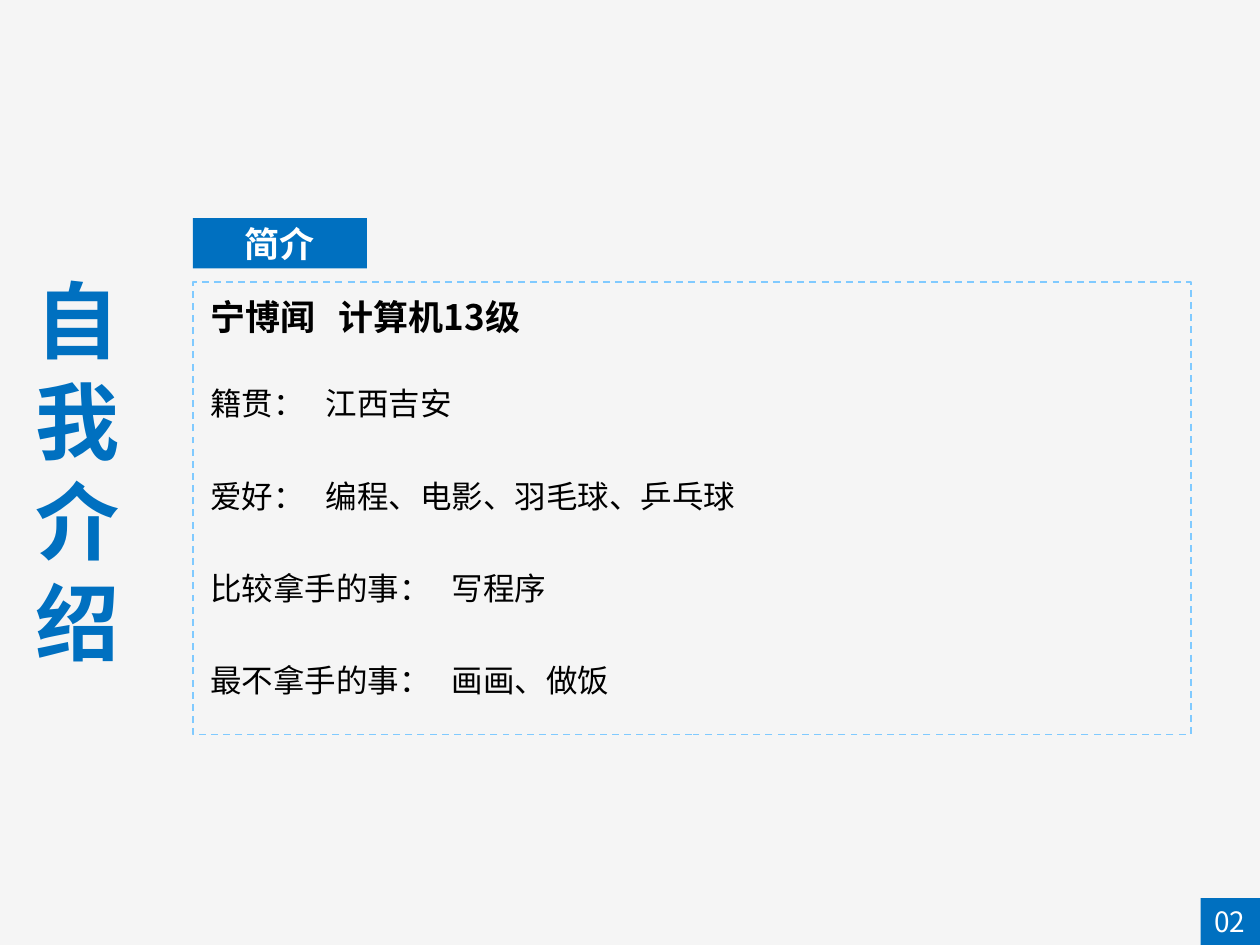
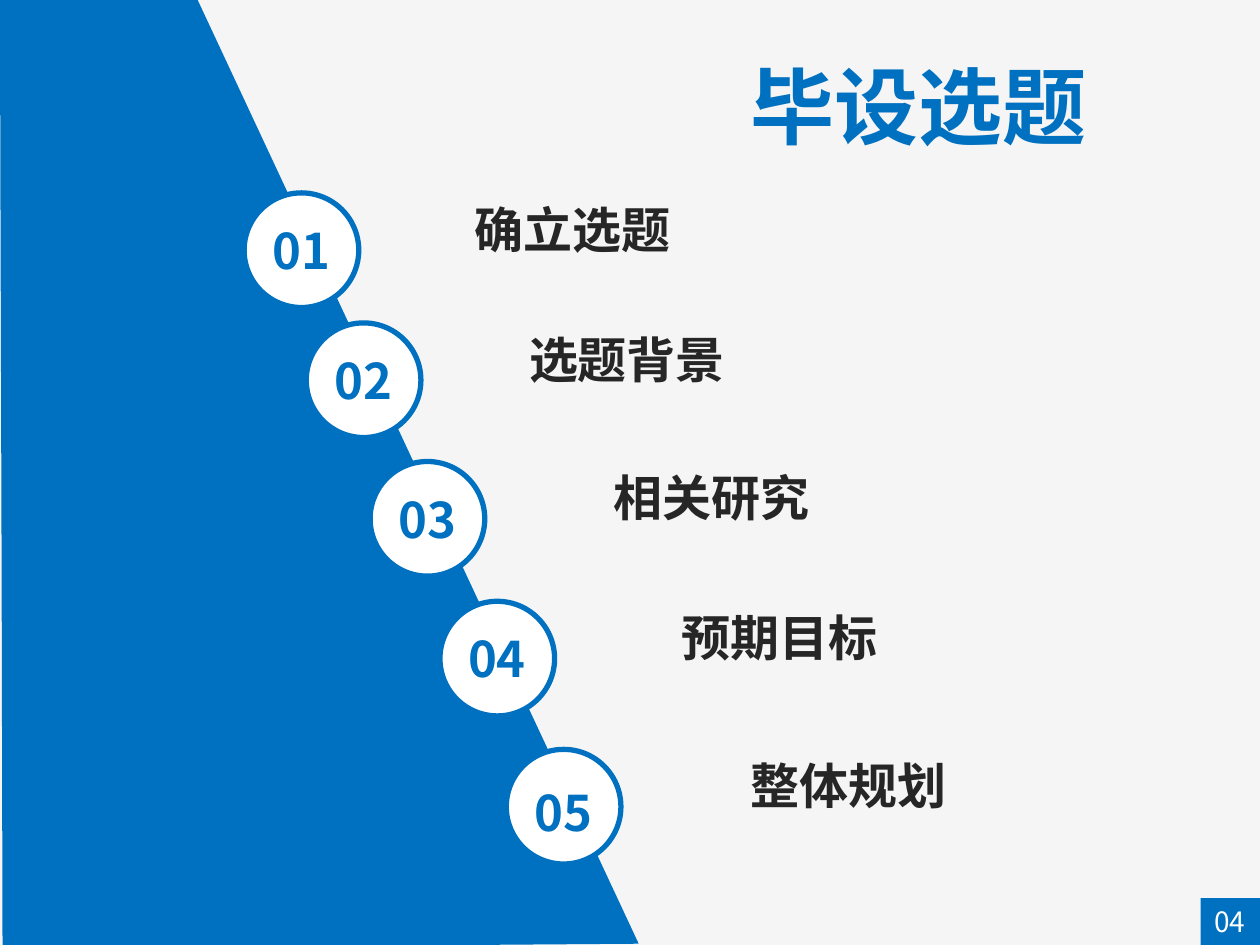
from pptx import Presentation
from pptx.dml.color import RGBColor
from pptx.enum.dml import MSO_LINE
from pptx.enum.shapes import MSO_SHAPE
from pptx.enum.text import MSO_ANCHOR, MSO_AUTO_SIZE, PP_ALIGN
from pptx.util import Pt
from lxml.etree import SubElement

BLUE = RGBColor(0x00, 0x70, 0xC0)
SKY = RGBColor(0x80, 0xCA, 0xFF)
WHITE = RGBColor(0xFF, 0xFF, 0xFF)
BLACK = RGBColor(0, 0, 0)
DARK = RGBColor(0x26, 0x26, 0x26)
PALE = RGBColor(0xF5, 0xF5, 0xF5)
FONT = "Noto Sans CJK SC"
NS = "{http://schemas.openxmlformats.org/drawingml/2006/main}"


def write(frame, text, size=18, color=BLACK, bold=False, align=PP_ALIGN.LEFT):
    frame.word_wrap = True
    para = frame.paragraphs[0]
    para.alignment = align
    run = para.add_run()
    run.text = text
    font = run.font
    font.size, font.bold, font.name = Pt(size), bold, FONT
    font.color.rgb = color
    SubElement(run._r.get_or_add_rPr(), NS + "ea", typeface=FONT)
    if "\t" in text:
        stop = Pt(size * (text.index("\t") + 0.67))
        tabs = SubElement(para._p.get_or_add_pPr(), NS + "tabLst")
        SubElement(tabs, NS + "tab", pos=str(int(stop)), algn="l")


def label(shapes, x, y, w, h, text, **style):
    box = shapes.add_textbox(Pt(x), Pt(y), Pt(w), Pt(h))
    write(box.text_frame, text, **style)
    box.text_frame.auto_size = MSO_AUTO_SIZE.SHAPE_TO_FIT_TEXT


def paint(shape, fill=None, line=None, width=1):
    shape.shadow.inherit = False
    if fill is None:
        shape.fill.background()
    else:
        shape.fill.solid()
        shape.fill.fore_color.rgb = fill
    if line is None:
        shape.line.fill.background()
    else:
        shape.line.color.rgb = line
        shape.line.width = Pt(width)
    return shape


def block(shapes, kind, x, y, w, h, **look):
    return paint(shapes.add_shape(kind, Pt(x), Pt(y), Pt(w), Pt(h)), **look)


def title(slide, x, y, w, h, text):
    label(slide.shapes, x, y, w, h, text, size=48, color=BLUE, bold=True)


def page(deck, number):
    slide = deck.slides.add_slide(deck.slide_layouts[6])
    slide.background.fill.solid()
    slide.background.fill.fore_color.rgb = PALE
    tag = slide.shapes.add_group_shape().shapes
    block(tag, MSO_SHAPE.RECTANGLE, 686, 513.3, 34, 26.7, fill=BLUE)
    label(tag, 677.5, 513.3, 50.4, 26.7, number, size=16, color=WHITE,
          align=PP_ALIGN.CENTER)
    return slide


def step(slide, number, x, y, drop, left, wide, text):
    mark = slide.shapes.add_group_shape().shapes
    block(mark, MSO_SHAPE.OVAL, x, y, 65.5, 65.5, fill=WHITE, line=BLUE, width=3)
    label(mark, x + 6, y + drop, 53.3, 41, number, size=28, color=BLUE,
          bold=True, align=PP_ALIGN.CENTER)
    label(slide.shapes, left, y, wide, 41, text, size=28, color=DARK, bold=True)


def slope(slide):
    edge = [(112.3, -1.5), (0, -1.5), (0.3, 110), (1, 340), (1.5, 542)]
    pen = slide.shapes.build_freeform(Pt(365), Pt(539.3))
    pen.add_line_segments([(Pt(x), Pt(y)) for x, y in edge], close=True)
    paint(pen.convert_to_shape(), fill=BLUE)


def intro(deck):
    slide = page(deck, "02")
    shapes = slide.shapes
    head = block(shapes, MSO_SHAPE.RECTANGLE, 110.2, 124.6, 99.4, 28.8, fill=BLUE)
    head.text_frame.vertical_anchor = MSO_ANCHOR.MIDDLE
    write(head.text_frame, "简介", size=20, color=WHITE, bold=True,
          align=PP_ALIGN.CENTER)
    frame = block(shapes, MSO_SHAPE.RECTANGLE, 110.2, 161.3, 570.2, 258.5, line=SKY)
    frame.line.dash_style = MSO_LINE.DASH
    title(slide, 13, 149.8, 56.2, 239.8, "自我介绍")
    label(shapes, 113, 165.6, 221, 31.7, "宁博闻\t计算机13级", size=20, bold=True)
    facts = [("籍贯：\t江西吉安", 158.4),
             ("爱好：\t编程、电影、羽毛球、乒乓球", 321.8),
             ("比较拿手的事：\t写程序", 212.4),
             ("最不拿手的事：\t画画、做饭", 249)]
    for row, (text, wide) in enumerate(facts):
        label(shapes, 113, 216 + 52.8 * row, wide, 28.8, text)


def topics(deck):
    slide = page(deck, "04")
    slope(slide)
    title(slide, 422, 27.4, 249, 65.5, "毕设选题")
    steps = [(139.5, 110.2, 12.3, 264.2, 440, "确立选题"),
             (175, 184.5, 12.3, 295.2, 394, "选题背景"),
             (211.5, 263.7, 12.3, 343.4, 394, "相关研究"),
             (251.4, 343.6, 12.3, 382.3, 394, "预期目标"),
             (289.3, 428.2, 15.3, 422, 394, "整体规划")]
    for rank, item in enumerate(steps, 1):
        step(slide, f"{rank:02}", *item)


def main():
    deck = Presentation()
    deck.slide_width, deck.slide_height = Pt(720), Pt(540)
    intro(deck)
    topics(deck)
    deck.save("out.pptx")


main()
